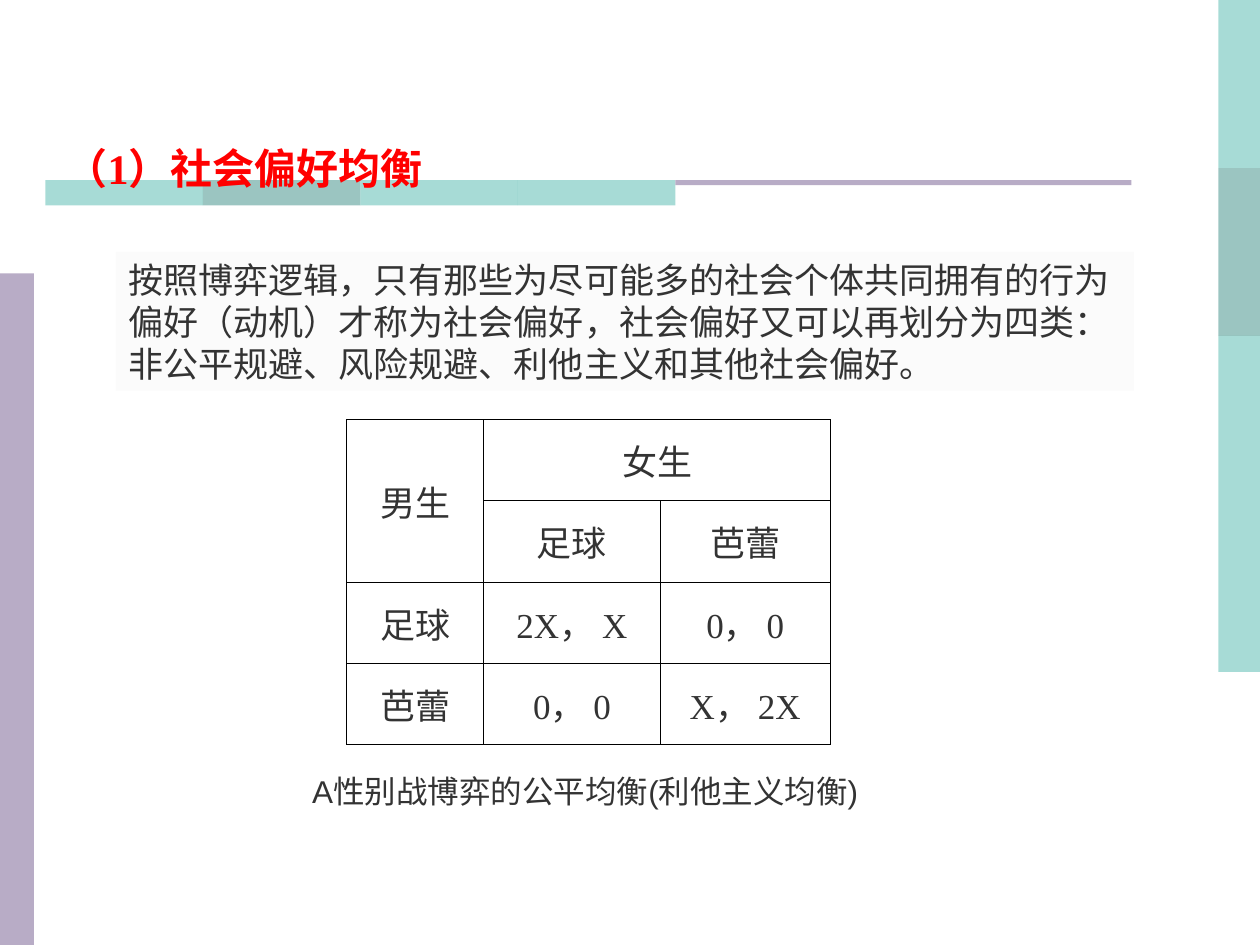
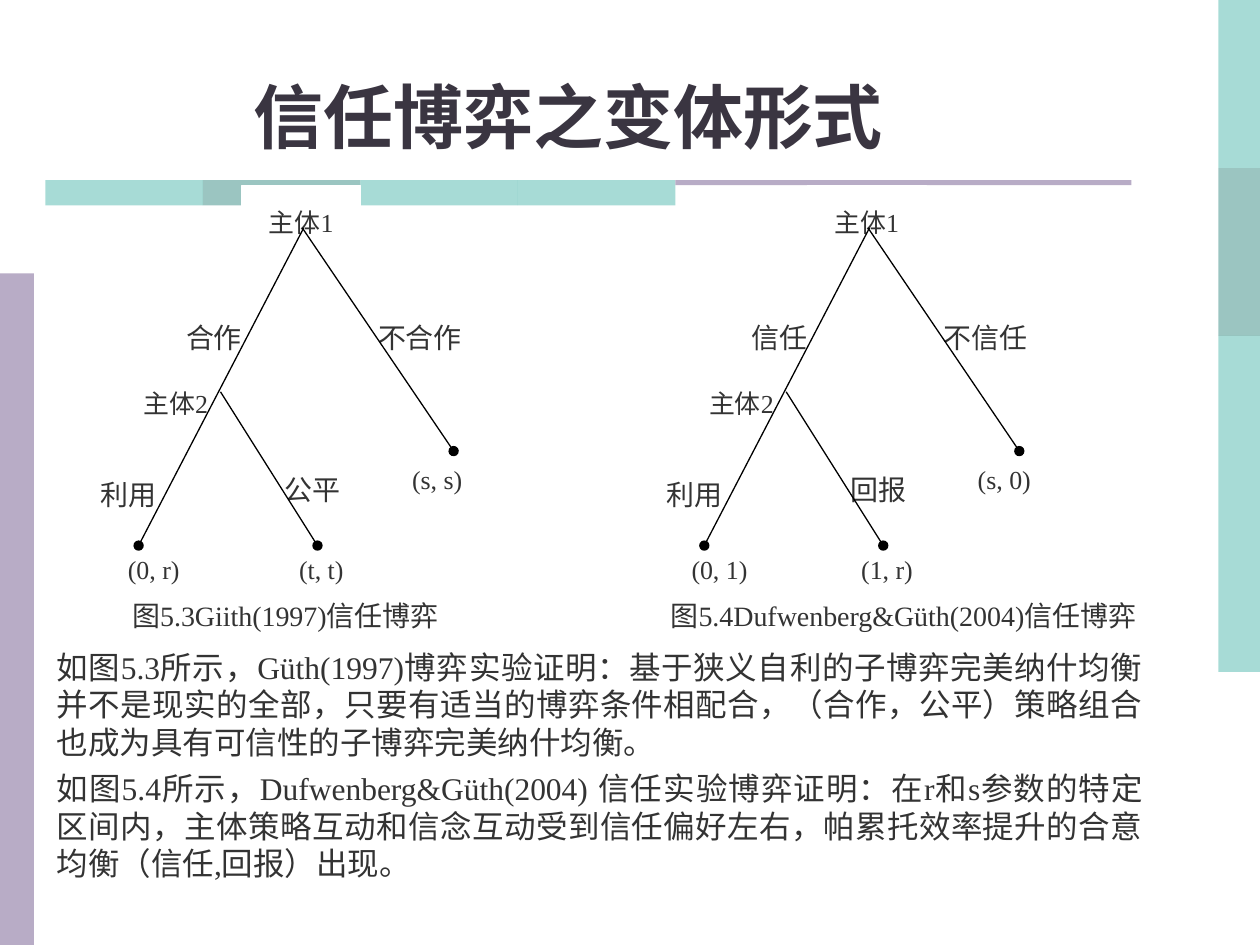
from typing import NamedTuple

from lxml import etree
from pptx import Presentation
from pptx.dml.color import RGBColor
from pptx.enum.shapes import MSO_CONNECTOR, MSO_SHAPE
from pptx.enum.text import MSO_ANCHOR, MSO_AUTO_SIZE, PP_ALIGN
from pptx.oxml.ns import qn
from pptx.util import Inches, Pt

LEFT, CENTER, RIGHT, JUST = PP_ALIGN.LEFT, PP_ALIGN.CENTER, PP_ALIGN.RIGHT, PP_ALIGN.JUSTIFY
TOP, MIDDLE, BOTTOM = MSO_ANCHOR.TOP, MSO_ANCHOR.MIDDLE, MSO_ANCHOR.BOTTOM
RECT, STRAIGHT = MSO_SHAPE.RECTANGLE, MSO_CONNECTOR.STRAIGHT
NO_FIT = MSO_AUTO_SIZE.NONE

COLORS = {
    "teal": "51B9AF", "dark": "398D85", "lilac": "B8ACC6",
    "text": "333333", "title": "3A3541", "red": "FF0000",
    "gray": "808080", "white": "FFFFFF", "black": "000000",
}
SERIF, SANS = "Times New Roman", "Arial"
TITLE_ONLY = 5
BLOCKS = ("teal", "dark", "teal", "teal")


class Box(NamedTuple):
    x: float
    y: float
    w: float
    h: float

    def size(self) -> list:
        return [Inches(v) for v in self]


class Label(NamedTuple):
    box: Box
    align: PP_ALIGN
    size: float
    space: float


class Branch(NamedTuple):
    x1: float
    y1: float
    x2: float
    y2: float


class Tree(NamedTuple):
    shift: float
    words: tuple


# Label places and branches of a game tree, from back to front
LABELS = (
    Label(Box(0.67, 3.55, 0.7, 0.53), CENTER, 16, 1.9),
    Label(Box(2.09, 3.51, 0.78, 0.53), CENTER, 16, 1.9),
    Label(Box(2.23, 4.22, 0.64, 0.41), CENTER, 14.8, 1.7),
    Label(Box(3, 2.33, 0.85, 0.46), JUST, 16, 1.8),
    Label(Box(3.27, 3.51, 0.71, 0.42), JUST, 14.8, 1.7),
    Label(Box(0.8, 2.9, 0.85, 0.42), RIGHT, 14.8, 1.7),
    Label(Box(0.91, 4.22, 0.62, 0.4), CENTER, 14.8, 1.7),
    Label(Box(0.99, 2.33, 0.93, 0.46), RIGHT, 16, 1.8),
    Label(Box(1.92, 1.47, 0.94, 0.42), CENTER, 14.8, 1.7),
)
BRANCHES = (
    Branch(2.41, 1.81, 1.1, 4.33),
    Branch(2.4, 1.81, 3.6, 3.58),
    Branch(1.75, 3.11, 2.52, 4.33),
)
TREES = (
    Tree(0, ("利用", "公平", "(t, t)", "不合作", "(s, s)",
             "主体2", "(0, r)", "合作", "主体1")),
    Tree(4.49, ("利用", "回报", "(1, r)", "不信任", "(s, 0)",
                "主体2", "(0, 1)", "信任", "主体1")),
)
PAYOFFS = (
    ("男生", "女生", ""),
    ("", "足球", "芭蕾"),
    ("足球", "2X， X", "0， 0"),
    ("芭蕾", "0， 0", "X， 2X"),
)


def paint(name: str) -> RGBColor:
    return RGBColor.from_string(COLORS[name])


def write(frame, *texts: str, size: float = 18, font: str = SERIF,
          color: str = "text", bold: bool = False, align: PP_ALIGN = LEFT,
          space: float = 1, gap: float = 0) -> None:
    """Fill a text frame with one paragraph per text."""
    for i, text in enumerate(texts):
        par = frame.paragraphs[0] if i == 0 else frame.add_paragraph()
        par.alignment = align
        par.line_spacing = space
        par.space_before = Pt(gap if i else 0)
        run = par.add_run()
        run.text = text
        run.font.size, run.font.name, run.font.bold = Pt(size), font, bold
        run.font.color.rgb = paint(color)


def set_frame(frame, anchor: MSO_ANCHOR, inset: bool = True, wrap: bool = True):
    frame.auto_size = NO_FIT
    frame.word_wrap = wrap
    frame.vertical_anchor = anchor
    frame.margin_left = frame.margin_right = Inches(0.1 if inset else 0)
    frame.margin_top = frame.margin_bottom = Inches(0.05 if inset else 0)
    return frame


def add_rect(slide, box: Box, fill: str, alpha: int = 100, line: str = ""):
    rect = slide.shapes.add_shape(RECT, *box.size())
    rect.shadow.inherit = False
    rect.fill.solid()
    rect.fill.fore_color.rgb = paint(fill)
    if alpha < 100:
        tint = rect.fill._xPr.find(".//" + qn("a:srgbClr"))
        etree.SubElement(tint, qn("a:alpha"), val=str(alpha * 1000))
    if line:
        rect.line.color.rgb = paint(line)
        rect.line.width = Pt(0.75)
    else:
        rect.line.fill.background()
    return rect


def add_text(slide, box: Box, *texts: str, anchor: MSO_ANCHOR = MIDDLE,
             wrap: bool = True, **style) -> None:
    area = slide.shapes.add_textbox(*box.size())
    write(set_frame(area.text_frame, anchor, wrap=wrap), *texts, **style)


def add_slide(deck, title: str, box: Box, anchor: MSO_ANCHOR, **style):
    """Add a slide with the shared bands and its title on top of them."""
    slide = deck.slides.add_slide(deck.slide_layouts[TITLE_ONLY])
    for i, color in enumerate(BLOCKS):
        add_rect(slide, Box(9.67, i * 4 / 3, 0.33, 4 / 3), color, 50)
        add_rect(slide, Box(0.36 + i * 1.25, 1.43, 1.25, 0.2), color, 50)
    add_rect(slide, Box(0, 2.17, 0.27, 5.33), "lilac")
    add_rect(slide, Box(5.36, 1.43, 3.62, 0.04), "lilac")
    head = slide.shapes.title
    head.left, head.top, head.width, head.height = box.size()
    write(set_frame(head.text_frame, anchor), title, bold=True, **style)
    head.element.getparent().append(head.element)
    return slide


def add_edges(cell) -> None:
    """Give a cell thin black borders; they must stand before its fill."""
    props = cell._tc.get_or_add_tcPr()
    for i, side in enumerate(("lnL", "lnR", "lnT", "lnB")):
        edge = etree.Element(qn("a:" + side), w=str(Pt(0.45)))
        fill = etree.SubElement(edge, qn("a:solidFill"))
        etree.SubElement(fill, qn("a:srgbClr"), val=COLORS["black"])
        props.insert(i, edge)


def add_grid(slide, box: Box, widths: tuple, rows: tuple) -> None:
    grid = slide.shapes.add_table(len(rows), len(widths), *box.size()).table
    for col, width in zip(grid.columns, widths):
        col.width = Inches(width)
    for r, row in enumerate(rows):
        grid.rows[r].height = Inches(box.h / len(rows))
        for c, text in enumerate(row):
            cell = grid.cell(r, c)
            cell.fill.background()
            cell.vertical_anchor = MIDDLE
            add_edges(cell)
            if text:
                write(cell.text_frame, text, size=20, align=CENTER)
    grid.cell(0, 0).merge(grid.cell(1, 0))
    grid.cell(0, 1).merge(grid.cell(0, 2))


def add_branch(slide, branch: Branch, shift: float) -> None:
    x1, y1, x2, y2 = branch
    line = slide.shapes.add_connector(
        STRAIGHT, Inches(x1 + shift), Inches(y1), Inches(x2 + shift), Inches(y2))
    line.line.color.rgb = paint("black")
    line.line.width = Pt(0.75)
    etree.SubElement(line.line._get_or_add_ln(), qn("a:tailEnd"), type="oval")
    etree.SubElement(line.element.spPr, qn("a:effectLst"))


def add_tree(slide, tree: Tree) -> None:
    for label, word in zip(LABELS, tree.words):
        box = label.box._replace(x=label.box.x + tree.shift)
        rect = add_rect(slide, box, "white", line="white")
        write(set_frame(rect.text_frame, TOP, inset=False), word,
              size=label.size, align=label.align, space=label.space)
    for branch in BRANCHES:
        add_branch(slide, branch, tree.shift)


def add_fair(deck) -> None:
    """Slide 1: social preference and its payoff table."""
    slide = add_slide(deck, "（1）社会偏好均衡", Box(0.42, 1.08, 3.33, 0.5),
                      MIDDLE, size=24, color="red")
    panel = add_rect(slide, Box(0.92, 2, 8.08, 1.1), "gray", 3)
    write(set_frame(panel.text_frame, MIDDLE),
          "按照博弈逻辑，只有那些为尽可能多的社会个体共同拥有的行为偏好（动机）"
          "才称为社会偏好，社会偏好又可以再划分为四类：非公平规避、风险规避、"
          "利他主义和其他社会偏好。", size=20, font=SANS)
    add_grid(slide, Box(2.75, 3.33, 3.84, 2.58), (1.09, 1.4, 1.35), PAYOFFS)
    add_text(slide, Box(2.38, 6.08, 4.77, 0.4),
             "A性别战博弈的公平均衡(利他主义均衡)", font=SANS, wrap=False)


def add_trust(deck) -> None:
    """Slide 2: two trust games and what they show."""
    slide = add_slide(deck, "信任博弈之变体形式", Box(0, 0.44, 9.02, 0.86),
                      BOTTOM, size=40, color="title", align=CENTER)
    add_text(slide, Box(0.91, 4.56, 2.71, 0.64), "图5.3Giith(1997)信任博弈",
             size=16, align=CENTER)
    for tree in TREES:
        add_tree(slide, tree)
    add_text(slide, Box(0.35, 5.09, 8.82, 1.97),
             "如图5.3所示，Güth(1997)博弈实验证明：基于狭义自利的子博弈完美纳什"
             "均衡并不是现实的全部，只要有适当的博弈条件相配合，（合作，公平）策略"
             "组合也成为具有可信性的子博弈完美纳什均衡。",
             "如图5.4所示，Dufwenberg&Güth(2004) 信任实验博弈证明：在r和s参数的"
             "特定区间内，主体策略互动和信念互动受到信任偏好左右，帕累托效率提升的"
             "合意均衡（信任,回报）出现。",
             anchor=TOP, align=JUST, gap=4.5)
    add_text(slide, Box(5.16, 4.7, 4.02, 0.37),
             "图5.4Dufwenberg&Güth(2004)信任博弈", size=16, align=CENTER)


def main() -> None:
    deck = Presentation()
    deck.slide_width, deck.slide_height = Inches(10), Inches(7.5)
    add_fair(deck)
    add_trust(deck)
    deck.save("out.pptx")


if __name__ == "__main__":
    main()
